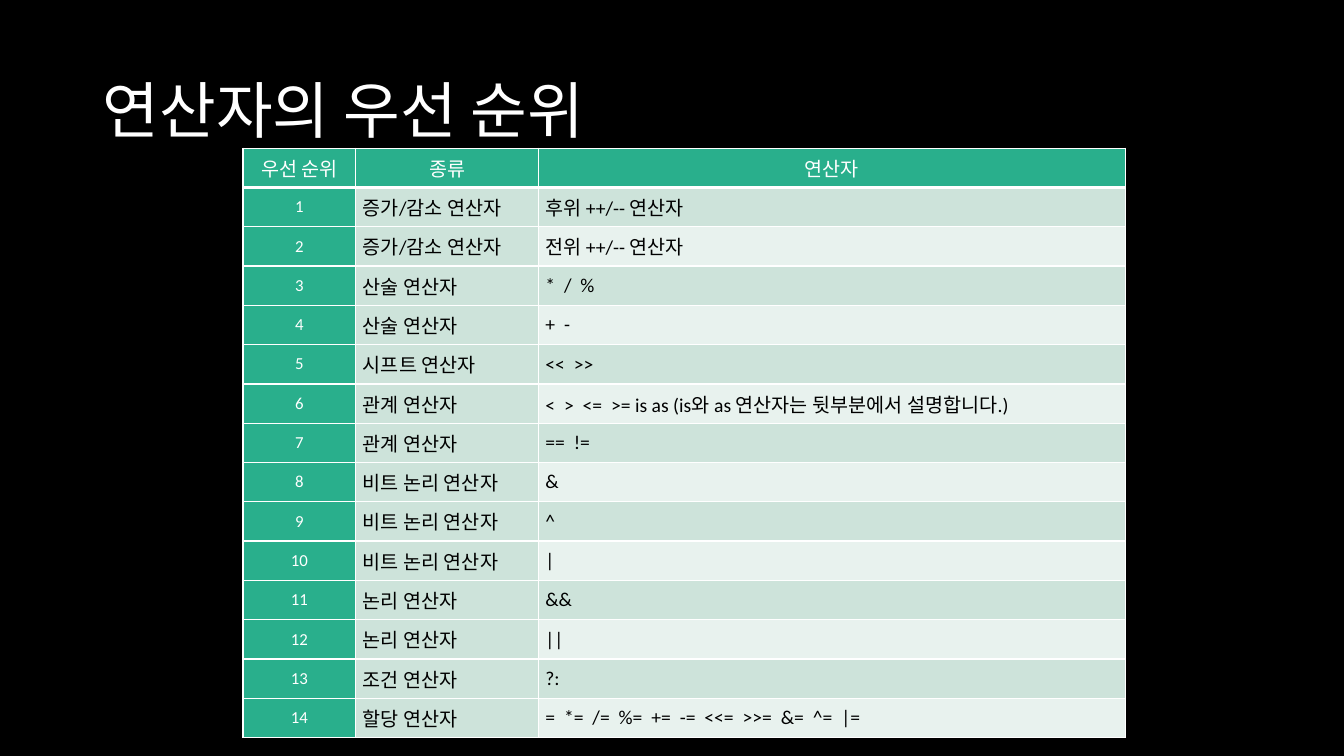
from lxml import etree
from pptx import Presentation
from pptx import util as u
from pptx.dml.color import RGBColor
from pptx.enum import text
from pptx.oxml.ns import qn

FONT = "Calibri"
BLACK, WHITE = "000000", "FFFFFF"
GREEN, DARK_BAND, LIGHT_BAND = "29AF8C", "CDE3DA", "E8F2EE"
COLUMN_WIDTHS = [1.12, 1.81, 5.82]
ROW_HEIGHT = 0.39
HEADINGS = ["우선 순위", "종류", "연산자"]

# Operators from highest to lowest precedence
OPERATORS = [
    ("증가/감소 연산자", "후위 ++/-- 연산자"),
    ("증가/감소 연산자", "전위 ++/-- 연산자"),
    ("산술 연산자", "*  /  %"),
    ("산술 연산자", "+  -"),
    ("시프트 연산자", "<<  >>"),
    ("관계 연산자", "<  >  <=  >= is as (is와 as 연산자는 뒷부분에서 설명합니다.)"),
    ("관계 연산자", "==  !="),
    ("비트 논리 연산자", "&"),
    ("비트 논리 연산자", "^"),
    ("비트 논리 연산자", "|"),
    ("논리 연산자", "&&"),
    ("논리 연산자", "||"),
    ("조건 연산자", "?:"),
    ("할당 연산자", "=  *=  /=  %=  +=  -=  <<=  >>=  &=  ^=  |="),
]


def set_color(color_format, hex_color):
    color_format.rgb = RGBColor.from_string(hex_color)


def set_fill(fill, hex_color):
    fill.solid()
    set_color(fill.fore_color, hex_color)


def format_text(text_frame, size, color, alignment):
    for paragraph in text_frame.paragraphs:
        paragraph.alignment = alignment
        for run in paragraph.runs:
            run.font.name = FONT
            run.font.size = u.Pt(size)
            set_color(run.font.color, color)


def add_title(slide, title_text):
    title = slide.shapes.title
    title.left, title.top = u.Inches(0.92), u.Inches(0.4)
    title.width, title.height = u.Inches(11.5), u.Inches(1.45)
    title.text_frame.text = title_text
    title.text_frame.vertical_anchor = text.MSO_ANCHOR.MIDDLE
    title.text_frame.paragraphs[0].line_spacing = 0.9
    format_text(title.text_frame, 44, WHITE, text.PP_ALIGN.LEFT)


def set_borders(cell, widths):
    properties = cell._tc.get_or_add_tcPr()
    for side, width in widths.items():
        line = etree.SubElement(properties, qn("a:ln" + side), w=str(u.Pt(width)))
        solid = etree.SubElement(line, qn("a:solidFill"))
        etree.SubElement(solid, qn("a:srgbClr"), val=WHITE)


def format_cell(cell, row, column):
    is_header = row == 0
    is_green = is_header or column == 0
    cell.vertical_anchor = text.MSO_ANCHOR.MIDDLE
    cell.margin_left = cell.margin_right = u.Inches(0.07)
    cell.margin_top = cell.margin_bottom = 0
    set_borders(cell, {"L": 1, "R": 1, "T": 3 if row == 1 else 1,
                       "B": 3 if is_header else 1})

    # Green header row and rank column; bands only in the operator column
    if is_green:
        fill = GREEN
    elif column == 2 and row % 2 == 0:
        fill = LIGHT_BAND
    else:
        fill = DARK_BAND
    set_fill(cell.fill, fill)
    format_text(cell.text_frame,
                12 if column == 0 and not is_header else 14,
                WHITE if is_green else BLACK,
                text.PP_ALIGN.CENTER if is_green else text.PP_ALIGN.JUSTIFY)


def add_precedence_table(slide):
    rows = [HEADINGS] + [(str(rank), *operator)
                         for rank, operator in enumerate(OPERATORS, 1)]
    table = slide.shapes.add_table(
        len(rows), len(COLUMN_WIDTHS), u.Inches(2.41), u.Inches(1.47),
        u.Inches(sum(COLUMN_WIDTHS)), u.Inches(ROW_HEIGHT * len(rows))).table
    for column, width in zip(table.columns, COLUMN_WIDTHS):
        column.width = u.Inches(width)
    for row, values in enumerate(rows):
        table.rows[row].height = u.Inches(ROW_HEIGHT)
        for column, value in enumerate(values):
            cell = table.cell(row, column)
            cell.text_frame.text = value
            format_cell(cell, row, column)


def main():
    presentation = Presentation()
    presentation.slide_width = u.Inches(13.33)
    presentation.slide_height = u.Inches(7.5)
    slide = presentation.slides.add_slide(presentation.slide_layouts[5])
    set_fill(slide.background.fill, BLACK)
    add_title(slide, "연산자의 우선 순위")
    add_precedence_table(slide)
    presentation.save("out.pptx")


main()
